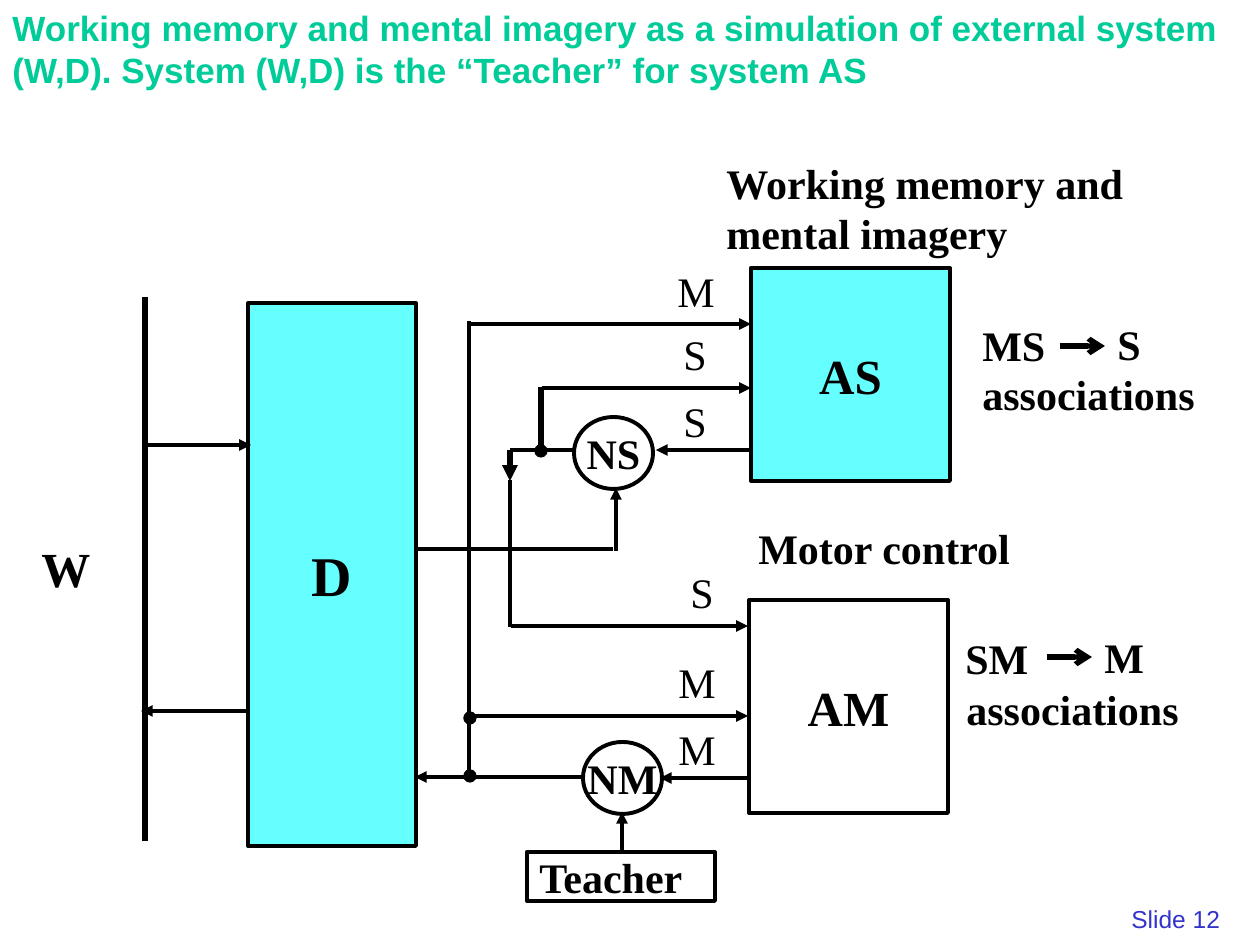
import pptx
import pptx.util
import pptx.dml.color
import pptx.enum.shapes
import pptx.enum.text
import pptx.oxml.ns
from lxml import etree

PX = 914400 // 126
SERIF = "Times New Roman"
SHAPE = pptx.enum.shapes.MSO_SHAPE
ALIGN = pptx.enum.text.PP_ALIGN
BLACK, WHITE, CYAN = "000000", "FFFFFF", "66FFFF"

TOP_LABELS = [
    ("Working memory and\nmental imagery", 714, 156, 436, 104),
    ("Motor control", 746, 522, 301, 51),
    ("MS", 970, 319, 90, 51),
    ("S", 1105, 318, 55, 51),
    ("associations", 970, 368, 243, 51),
    ("SM", 953, 632, 90, 51),
    ("M", 1092, 631, 73, 51),
    ("associations", 954, 683, 243, 51),
]
SIGNALS = [
    ("M", 665, 265, 73), ("S", 671, 328, 55), ("S", 671, 395, 55),
    ("S", 678, 566, 55), ("M", 666, 656, 73), ("M", 666, 723, 73),
]
BLOCKS = [
    (SHAPE.RECTANGLE, "AS", 28, CYAN, 751, 268, 199, 213),
    (SHAPE.RECTANGLE, "AM", 28, WHITE, 749, 600, 199, 213),
    (SHAPE.RECTANGLE, "D", 32, CYAN, 248, 303, 168, 543),
    (SHAPE.OVAL, "NS", 24, WHITE, 574, 417, 79, 72),
    (SHAPE.OVAL, "NM", 24, WHITE, 583, 742, 79, 72),
]
THIN_LINES = [
    (418, 549, 613, 549), (469, 780, 469, 321),
    (574, 450, 510, 450), (510, 480, 510, 627),
]
THIN_ARROWS = [
    (616, 551, 616, 488), (468, 324, 751, 324), (542, 388, 751, 388),
    (751, 450, 656, 450), (511, 626, 748, 626), (583, 777, 415, 777),
    (145, 445, 251, 445), (247, 711, 141, 711), (471, 716, 748, 716),
    (748, 778, 660, 778), (622, 852, 622, 812),
]
THICK_LINES = [(541, 450, 541, 387), (145, 841, 145, 297)]
ASSOCIATION_ARROWS = [(1060, 346, 1105, 346), (1047, 657, 1092, 657)]
JUNCTIONS = [(470, 718), (470, 776), (541, 451)]


def px(*lengths):
    """Turn pixel lengths into EMU."""
    return [length * PX for length in lengths]


def rgb(value):
    """Turn a hex string into a colour."""
    return pptx.dml.color.RGBColor.from_string(value)


def write(item, text, size, color=BLACK, bold=True, font=SERIF, align=ALIGN.LEFT, wrap=False):
    """Put formatted text into a shape or text box."""
    frame = item.text_frame
    frame.text = text
    frame.word_wrap = wrap
    for para in frame.paragraphs:
        para.alignment = align
        for span in para.runs:
            span.font.size = pptx.util.Pt(size)
            span.font.name = font
            span.font.bold = bold
            span.font.color.rgb = rgb(color)


def add_box(slide, kind, place, fill, line, width):
    """Add a filled and outlined preset shape."""
    box = slide.shapes.add_shape(kind, *px(*place))
    box.shadow.inherit = False
    box.fill.solid()
    box.fill.fore_color.rgb = rgb(fill)
    box.line.color.rgb = rgb(line)
    box.line.width = pptx.util.Pt(width)
    box.text_frame.vertical_anchor = pptx.enum.text.MSO_ANCHOR.MIDDLE
    return box


def add_label(slide, text, place, bold=True):
    """Add a white label with left-aligned text."""
    box = add_box(slide, SHAPE.RECTANGLE, place, WHITE, WHITE, 0.75)
    write(box, text, 24, bold=bold)


def add_text(slide, text, place, size, color, bold, font):
    """Add a wrapping text box."""
    box = slide.shapes.add_textbox(*px(*place))
    write(box, text, size, color, bold, font, wrap=True)


def add_line(slide, ends, width=2.25, head=None):
    """Add a straight line with an optional arrowhead at its end."""
    line = slide.shapes.add_connector(pptx.enum.shapes.MSO_CONNECTOR.STRAIGHT, *px(*ends))
    line.line.color.rgb = rgb(BLACK)
    line.line.width = pptx.util.Pt(width)
    if head:
        outline = line.line._get_or_add_ln()
        etree.SubElement(outline, pptx.oxml.ns.qn("a:tailEnd"), type=head)
    etree.SubElement(line._element.spPr, pptx.oxml.ns.qn("a:effectLst"))


def main():
    """Build the slide and save it."""
    deck = pptx.Presentation()
    deck.slide_width, deck.slide_height = px(1260, 945)
    slide = deck.slides.add_slide(deck.slide_layouts[6])

    title = ("Working memory and mental imagery as a simulation of external system "
             "(W,D). System (W,D) is the “Teacher” for system AS")
    add_text(slide, title, (0, 0, 1232, 97), 20, "00CC99", True, "Arial")
    for text, *place in TOP_LABELS:
        add_label(slide, text, place)
    for text, left, top, width in SIGNALS:
        add_label(slide, text, (left, top, width, 51), bold=False)
    add_text(slide, "W", (29, 532, 77, 72), 28, BLACK, True, SERIF)

    for kind, text, size, fill, *place in BLOCKS:
        box = add_box(slide, kind, place, fill, BLACK, 2.25)
        write(box, text, size, align=ALIGN.CENTER)
    teacher = add_box(slide, SHAPE.RECTANGLE, (527, 852, 188, 49), WHITE, BLACK, 2.25)
    write(teacher, "Teacher", 24)

    for ends in THIN_LINES:
        add_line(slide, ends)
    for ends in THIN_ARROWS:
        add_line(slide, ends, head="triangle")
    for ends in THICK_LINES:
        add_line(slide, ends, 3)
    add_line(slide, (510, 450, 510, 481), 3, "triangle")
    for ends in ASSOCIATION_ARROWS:
        add_line(slide, ends, 3, "arrow")
    for x, y in JUNCTIONS:
        add_box(slide, SHAPE.OVAL, (x - 6, y - 6, 12, 12), BLACK, BLACK, 0.75)

    add_text(slide, "Slide 12", (1119, 898, 123, 43), 14, "3333CC", False, "Arial")
    deck.save("out.pptx")


if __name__ == "__main__":
    main()
